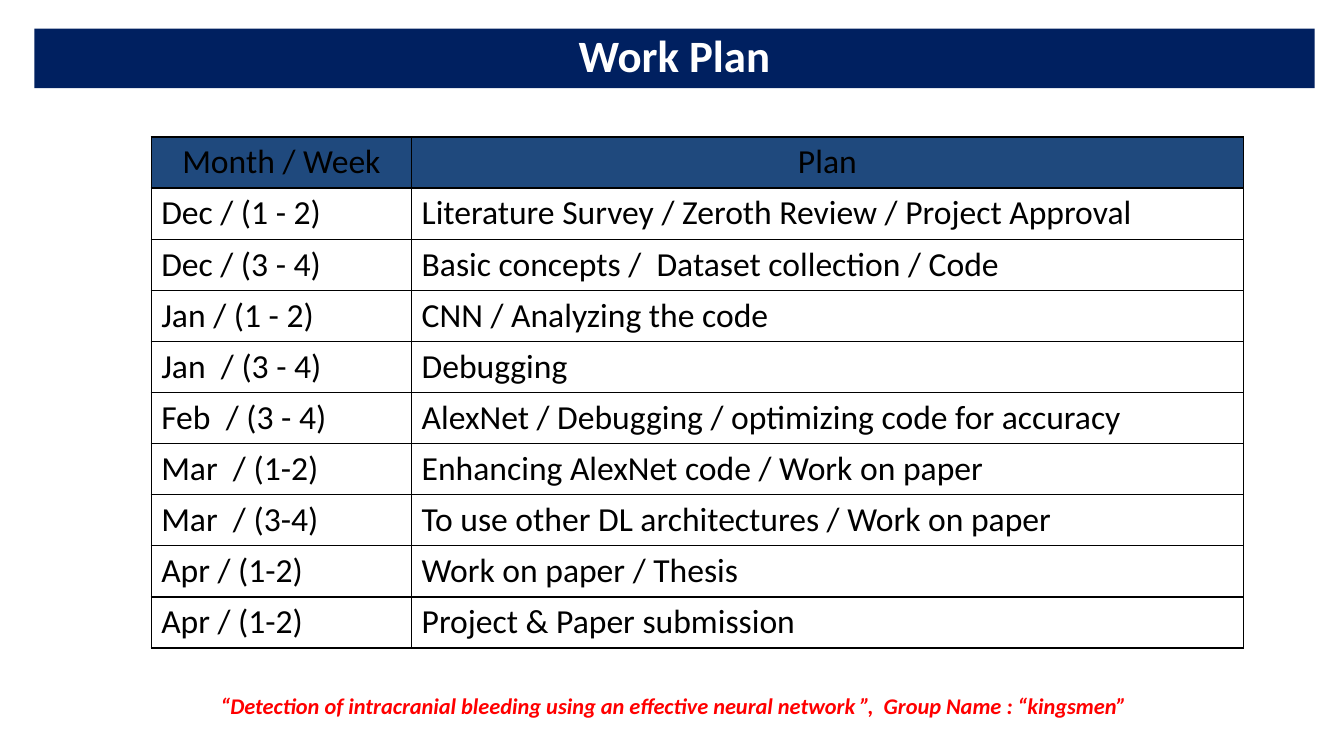
import pptx
import pptx.dml.color
import pptx.enum.text
import pptx.oxml
import pptx.oxml.ns
import pptx.util

ALIGN = pptx.enum.text.PP_ALIGN
COLOURS = {
    "banner": "002060",
    "header": "1F497D",
    "white": "FFFFFF",
    "black": "000000",
    "footer": "FF0000",
}
WORK_PLAN = [
    ("Month / Week", "Plan"),
    ("Dec / (1 - 2)", "Literature Survey / Zeroth Review / Project Approval"),
    ("Dec / (3 - 4)", "Basic concepts /  Dataset collection / Code"),
    ("Jan / (1 - 2)", "CNN / Analyzing the code"),
    ("Jan  / (3 - 4)", "Debugging"),
    ("Feb  / (3 - 4)", "AlexNet / Debugging / optimizing code for accuracy"),
    ("Mar  / (1-2)", "Enhancing AlexNet code / Work on paper"),
    ("Mar  / (3-4)", "To use other DL architectures / Work on paper"),
    ("Apr / (1-2)", "Work on paper / Thesis"),
    ("Apr / (1-2)", "Project & Paper submission"),
]


def colour(name):
    return pptx.dml.color.RGBColor.from_string(COLOURS[name])


def write(text_frame, text, size, ink="black", bold=False, italic=False,
          align=ALIGN.LEFT, line_spacing=None):
    paragraph = text_frame.paragraphs[0]
    paragraph.alignment = align
    paragraph.line_spacing = line_spacing
    run = paragraph.add_run()
    run.text = text
    font = run.font
    font.name = SlideBuilder.FONT
    font.size = pptx.util.Pt(size)
    font.bold, font.italic = bold, italic
    font.color.rgb = colour(ink)


def add_borders(cell, width=1):
    properties = cell._tc.get_or_add_tcPr()
    for side in ("lnL", "lnR", "lnT", "lnB"):
        properties.append(pptx.oxml.parse_xml(
            f'<a:{side} {pptx.oxml.ns.nsdecls("a")} w="{pptx.util.Pt(width)}">'
            f'<a:solidFill><a:srgbClr val="{COLOURS["black"]}"/></a:solidFill>'
            f'</a:{side}>'))


class SlideBuilder:
    """Places elements on a grid of 160 columns by 90 rows."""

    FONT = "Calibri"
    COLUMNS, ROWS = 160, 90

    def __init__(self, presentation):
        self.column = presentation.slide_width / self.COLUMNS
        self.row = presentation.slide_height / self.ROWS
        self.slide = presentation.slides.add_slide(presentation.slide_layouts[5])

    def box(self, left, top, width, height):
        return (round(left * self.column), round(top * self.row),
                round(width * self.column), round(height * self.row))

    def frame(self, shape):
        text_frame = shape.text_frame
        text_frame.word_wrap = True
        text_frame.auto_size = pptx.enum.text.MSO_AUTO_SIZE.NONE
        text_frame.vertical_anchor = pptx.enum.text.MSO_ANCHOR.MIDDLE
        return text_frame

    def title(self, text, *place):
        shape = self.slide.shapes.title
        shape.left, shape.top, shape.width, shape.height = self.box(*place)
        shape.fill.solid()
        shape.fill.fore_color.rgb = colour("banner")
        write(self.frame(shape), text, 32, ink="white", bold=True,
              align=ALIGN.CENTER, line_spacing=0.9)

    def footer(self, text, *place):
        text_frame = self.frame(self.slide.shapes.add_textbox(*self.box(*place)))
        text_frame.margin_bottom = pptx.util.Inches(0.32)
        write(text_frame, text, 16, ink="footer", bold=True, italic=True,
              align=ALIGN.CENTER)

    def table(self, rows, column_widths, left, top, row_height):
        place = self.box(left, top, sum(column_widths), row_height * len(rows))
        table = self.slide.shapes.add_table(
            len(rows), len(column_widths), *place).table
        table.first_row = table.horz_banding = False
        for column, width in zip(table.columns, column_widths):
            column.width = round(width * self.column)
        for row_index, texts in enumerate(rows):
            is_header = row_index == 0
            for column_index, text in enumerate(texts):
                cell = table.cell(row_index, column_index)
                add_borders(cell)
                if is_header:
                    cell.fill.solid()
                    cell.fill.fore_color.rgb = colour("header")
                else:
                    cell.fill.background()
                write(cell.text_frame, text, 24,
                      align=ALIGN.CENTER if is_header else ALIGN.LEFT)


def main():
    presentation = pptx.Presentation()
    presentation.slide_width = pptx.util.Inches(13.33)
    presentation.slide_height = pptx.util.Inches(7.5)
    builder = SlideBuilder(presentation)
    builder.title("Work Plan", 4.1, 3.4, 152.4, 7.1)
    builder.footer("“Detection of intracranial bleeding using an effective neural "
                   "network ”,  Group Name : “kingsmen”", 12.5, 83.2, 135.5, 4.8)
    builder.table(WORK_PLAN, (31, 99), left=18, top=16.3, row_height=6)
    presentation.save("out.pptx")


if __name__ == "__main__":
    main()
